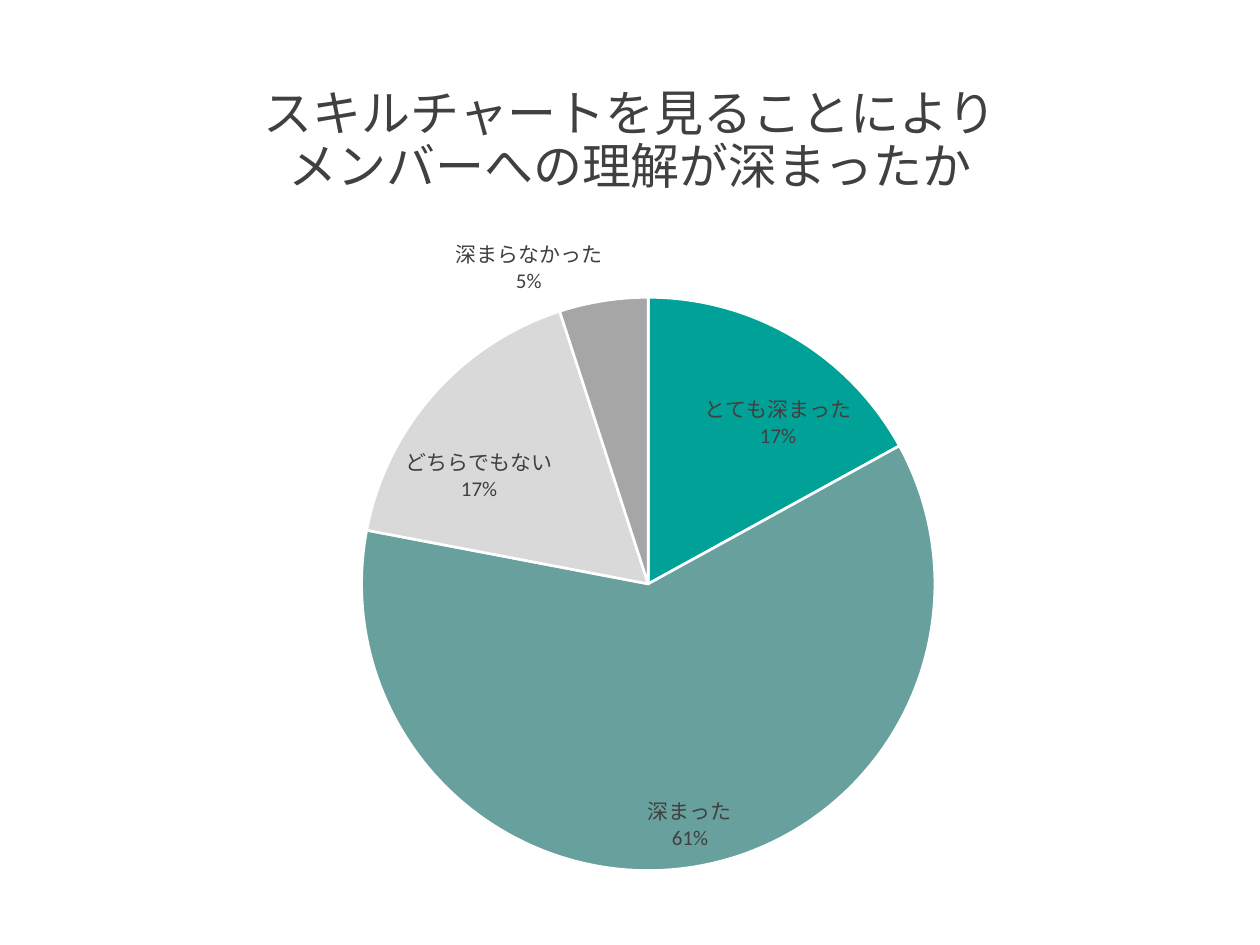
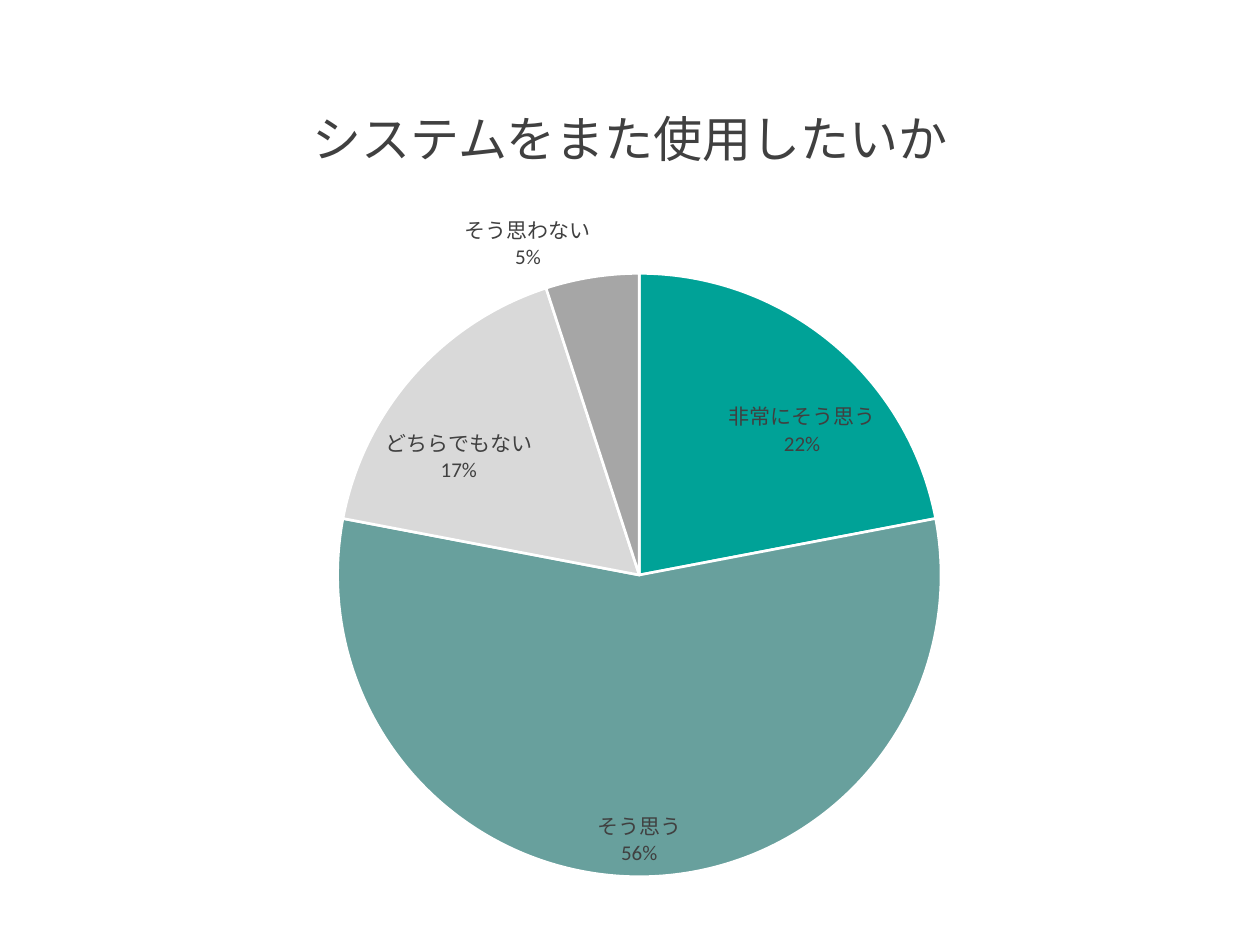
from lxml import etree
from pptx import Presentation
from pptx.chart.data import CategoryChartData
from pptx.dml.color import RGBColor
from pptx.enum.chart import XL_CHART_TYPE, XL_LABEL_POSITION
from pptx.enum.text import MSO_ANCHOR, PP_ALIGN
from pptx.oxml import parse_xml
from pptx.oxml.ns import nsdecls, qn
from pptx.util import Inches, Pt

PIE = XL_CHART_TYPE.PIE
BEST_FIT = XL_LABEL_POSITION.BEST_FIT
MIDDLE = MSO_ANCHOR.MIDDLE
CENTER = PP_ALIGN.CENTER

WHITE = RGBColor(0xFF, 0xFF, 0xFF)
BLACK = RGBColor(0x00, 0x00, 0x00)
TEXT_GRAY = RGBColor(0x40, 0x40, 0x40)
SLICE_COLORS = (
    RGBColor(0x00, 0xA2, 0x97),
    RGBColor(0x68, 0xA0, 0x9D),
    RGBColor(0xD9, 0xD9, 0xD9),
    RGBColor(0xA6, 0xA6, 0xA6),
)
TITLE_FONT = "Noto Sans CJK JP"
CHART_FONT = "Calibri"
TITLE_BOX = (0.69, 0.4, 8.62, 1.45)

SURVEYS = (
    {
        "title": "スキルチャートを見ることにより\vメンバーへの理解が深まったか",
        "answers": {"とても深まった": 17, "深まった": 61, "どちらでもない": 17, "深まらなかった": 5},
        "chart_box": (0.43, 1.73, 9.13, 5.34),
        "pie_box": (2.44, 0.63, 4.55),
    },
    {
        "title": "システムをまた使用したいか",
        "answers": {"非常にそう思う": 22, "そう思う": 56, "どちらでもない": 17, "そう思わない": 5},
        "chart_box": (0.36, 1.53, 9.28, 5.57),
        "pie_box": (2.32, 0.64, 4.79),
    },
)


def style_font(font, name, size, color):
    """Set the typeface, point size and colour of a font."""
    font.name = name
    font.size = Pt(size)
    font.color.rgb = color


def add_title(slide, box, title):
    """Add the centred slide title inside the box."""
    text_frame = slide.shapes.add_textbox(*map(Inches, box)).text_frame
    text_frame.word_wrap = True
    text_frame.vertical_anchor = MIDDLE
    paragraph = text_frame.paragraphs[0]
    paragraph.text = title
    paragraph.alignment = CENTER
    paragraph.line_spacing = 0.9
    for run in paragraph.runs:
        style_font(run.font, TITLE_FONT, 28, TEXT_GRAY)
        east_asian = etree.SubElement(run.font._element, qn("a:ea"))
        east_asian.set("typeface", TITLE_FONT)


def place_pie(chart, chart_box, pie_box):
    """Fix the pie's square, given in inches relative to the chart box."""
    width, height = chart_box[2:]
    left, top, diameter = pie_box
    fractions = {"x": left / width, "y": top / height,
                 "w": diameter / width, "h": diameter / height}
    values = "".join(f'<c:{key} val="{value:.4f}"/>' for key, value in fractions.items())
    layout = parse_xml(
        f'<c:layout {nsdecls("c")}><c:manualLayout><c:layoutTarget val="inner"/>'
        f'<c:xMode val="edge"/><c:yMode val="edge"/>{values}</c:manualLayout></c:layout>'
    )
    plot_area = chart._chartSpace.chart.plotArea
    for old_layout in plot_area.findall(qn("c:layout")):
        plot_area.remove(old_layout)
    plot_area.insert(0, layout)


def label_slices(plot):
    """Label each slice with its category above its percentage."""
    plot.has_data_labels = True
    labels = plot.data_labels
    labels.number_format = "0%"
    labels.number_format_is_linked = False
    style_font(labels.font, CHART_FONT, 12, TEXT_GRAY)
    labels.position = BEST_FIT
    labels.show_value = False
    labels.show_category_name = True
    labels.show_percentage = True
    separator = parse_xml(f'<c:separator {nsdecls("c")}>\n</c:separator>')
    labels._element.find(qn("c:showBubbleSize")).addnext(separator)


def add_pie_chart(slide, chart_box, pie_box, answers):
    """Add the pie chart of survey answers inside the chart box."""
    chart_data = CategoryChartData()
    chart_data.categories = list(answers)
    chart_data.add_series("Series 1", list(answers.values()))
    chart = slide.shapes.add_chart(PIE, *map(Inches, chart_box), chart_data).chart
    chart.has_title = False
    chart.has_legend = False
    style_font(chart.font, CHART_FONT, 10, BLACK)
    plot = chart.plots[0]
    plot.vary_by_categories = True
    for index, color in enumerate(SLICE_COLORS):
        slice_format = plot.series[0].points[index].format
        slice_format.fill.solid()
        slice_format.fill.fore_color.rgb = color
        slice_format.line.color.rgb = WHITE
        slice_format.line.width = Pt(1.5)
    label_slices(plot)
    place_pie(chart, chart_box, pie_box)


def add_survey_slide(presentation, survey):
    """Add one slide with a question and its answers."""
    slide = presentation.slides.add_slide(presentation.slide_layouts[6])
    slide.background.fill.solid()
    slide.background.fill.fore_color.rgb = WHITE
    add_title(slide, TITLE_BOX, survey["title"])
    add_pie_chart(slide, survey["chart_box"], survey["pie_box"], survey["answers"])


def main():
    """Build and save the survey slides."""
    presentation = Presentation()
    presentation.slide_width = Inches(10)
    presentation.slide_height = Inches(7.5)
    for survey in SURVEYS:
        add_survey_slide(presentation, survey)
    presentation.save("out.pptx")


if __name__ == "__main__":
    main()
